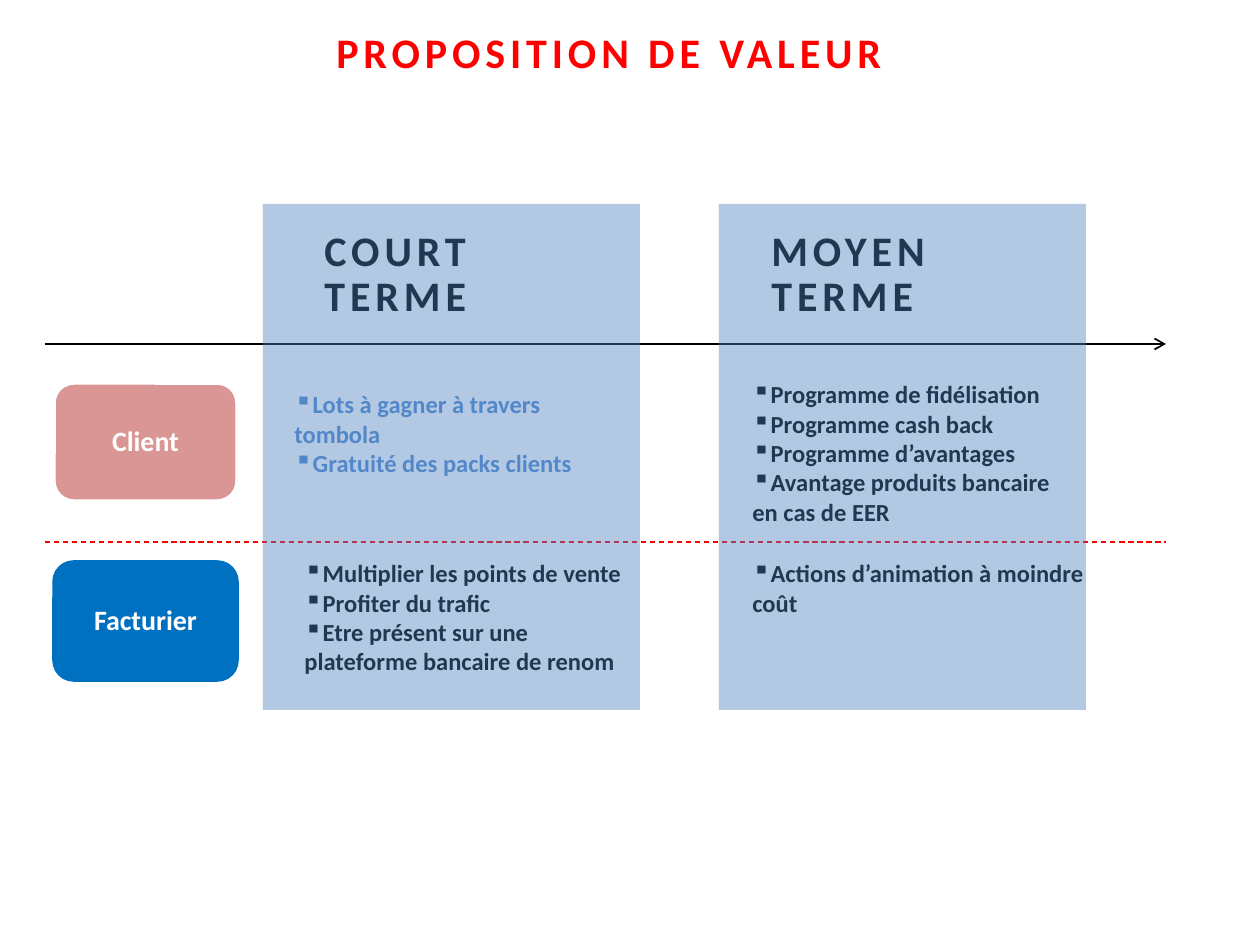
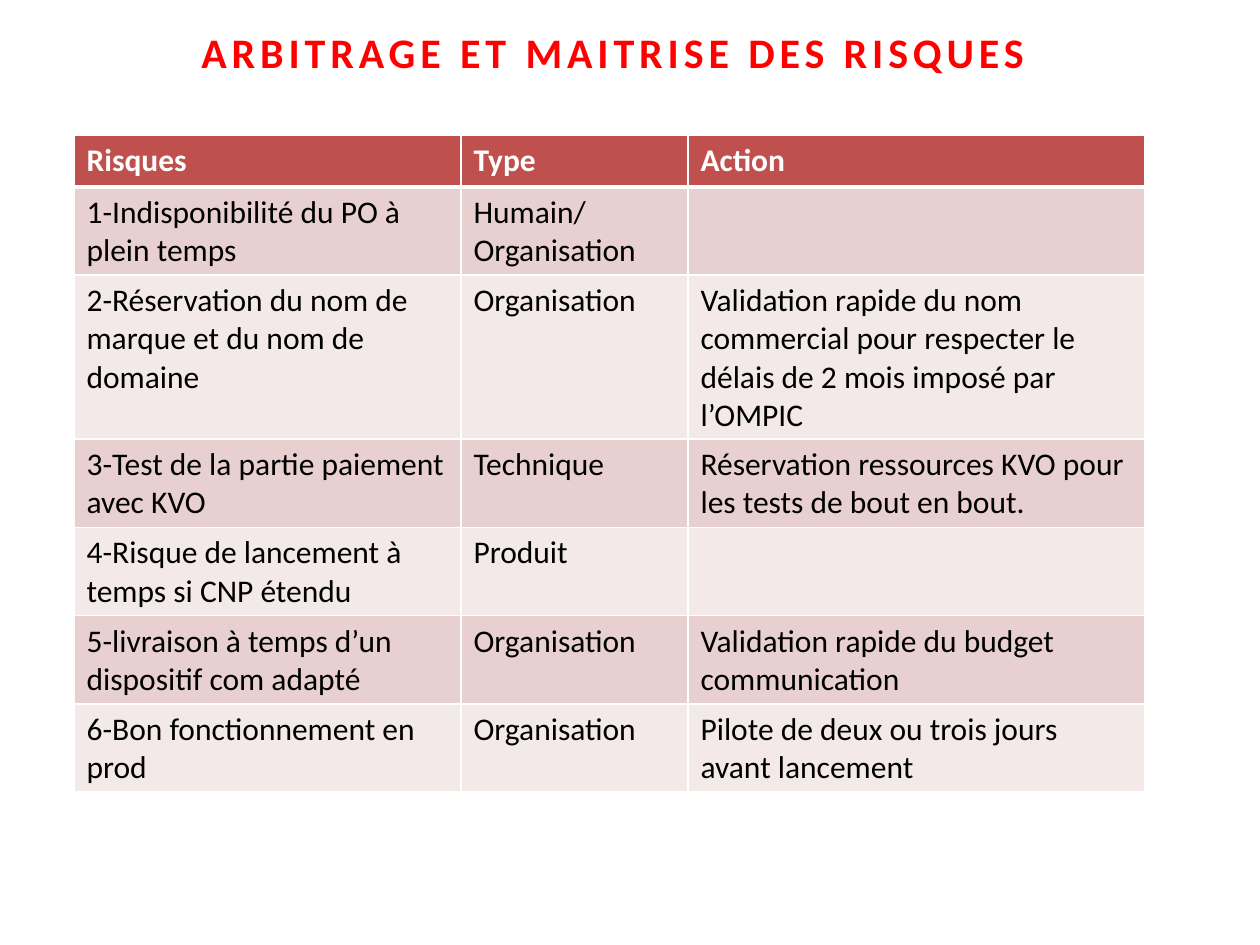
"""Build two slides: the value proposition and the risk table."""
import dataclasses
import lxml.etree
import pptx
import pptx.dml.color
import pptx.enum.dml
import pptx.enum.shapes
import pptx.enum.text
import pptx.oxml.ns
import pptx.util

SCALE = 914400 / 126
ALIGN = pptx.enum.text.PP_ALIGN
SHAPE = pptx.enum.shapes.MSO_SHAPE
qn = pptx.oxml.ns.qn


@dataclasses.dataclass(frozen=True)
class Theme:
    font: str = "Calibri"
    red: str = "FF0000"
    black: str = "000000"
    white: str = "FFFFFF"
    blue: str = "0070C0"
    sky: str = "558ED5"
    rose: str = "D99694"
    panel: str = "4F81BD"
    head: str = "C0504D"
    bands: tuple = ("E8D0D0", "F4E9E9")
    title: int = 24
    cell: int = 18
    label: int = 16
    item: int = 14


LOOK = Theme()


def px(size):
    return pptx.util.Emu(round(size * SCALE))


def rgb(code):
    return pptx.dml.color.RGBColor.from_string(code)


def node(parent, tag, **attrs):
    return lxml.etree.SubElement(parent, qn(tag), attrs)


def paint(target, code):
    target.fill.solid()
    target.fill.fore_color.rgb = rgb(code)


def write(para, text, size, color, bold=True, wide=False):
    run = para.add_run()
    run.text = text
    font = run.font
    font.name, font.bold = LOOK.font, bold
    font.size = pptx.util.Pt(size)
    font.color.rgb = rgb(color)
    if wide:
        run._r.get_or_add_rPr().set("spc", "280")


def box(slide, left, top, width, height, wrap=True):
    frame = slide.shapes.add_textbox(*map(px, (left, top, width, height))).text_frame
    frame.word_wrap = wrap
    return frame


def heading(slide, text, area, color, align=ALIGN.LEFT, wrap=True):
    para = box(slide, *area, wrap=wrap).paragraphs[0]
    para.alignment = align
    para.line_spacing = 0.9
    write(para, text, LOOK.title, color, wide=True)


def title(slide, text, left, width):
    heading(slide, text, (left, 26, width, 58), LOOK.red, ALIGN.CENTER, False)


def bullets(slide, area, items, color=LOOK.black):
    frame = box(slide, *area)
    for rank, item in enumerate(items):
        para = frame.add_paragraph() if rank else frame.paragraphs[0]
        node(para._p.get_or_add_pPr(), "a:buChar", char="▪")
        write(para, item, LOOK.item, color)


def badge(slide, text, top, fill, edge):
    shape = slide.shapes.add_shape(SHAPE.ROUNDED_RECTANGLE, *map(px, (54, top, 183, 118)))
    shape.shadow.inherit = False
    paint(shape, fill)
    shape.line.color.rgb = rgb(edge)
    shape.line.width = pptx.util.Pt(2)
    frame = shape.text_frame
    frame.word_wrap = True
    frame.vertical_anchor = pptx.enum.text.MSO_ANCHOR.MIDDLE
    para = frame.paragraphs[0]
    para.alignment = ALIGN.CENTER
    para.line_spacing = 0.9
    write(para, text, LOOK.label, LOOK.white)


def panel(slide, left, width):
    shape = slide.shapes.add_shape(SHAPE.RECTANGLE, *map(px, (left, 204, width, 506)))
    shape.shadow.inherit = False
    paint(shape, LOOK.panel)
    shape.line.fill.background()
    color = next(shape._element.spPr.iter(qn("a:srgbClr")))
    node(color, "a:alpha", val="43000")


def rule(slide, top, color, width, dash=False, arrow=False):
    kind = pptx.enum.shapes.MSO_CONNECTOR.STRAIGHT
    link = slide.shapes.add_connector(kind, px(45), px(top), px(1166), px(top))
    link.line.color.rgb = rgb(color)
    link.line.width = pptx.util.Pt(width)
    if dash:
        link.line.dash_style = pptx.enum.dml.MSO_LINE.DASH
    if arrow:
        node(link.line._get_or_add_ln(), "a:tailEnd", type="arrow")
    node(link._element.spPr, "a:effectLst")


def border(cell, low):
    props = cell._tc.get_or_add_tcPr()
    for side in "LRTB":
        width = low if side == "B" else 1
        edge = node(props, "a:ln" + side, w=str(pptx.util.Pt(width)))
        node(node(edge, "a:solidFill"), "a:srgbClr", val=LOOK.white)


def grid(slide, left, top, widths, heights, rows):
    area = map(px, (left, top, sum(widths), sum(heights)))
    table = slide.shapes.add_table(len(rows), len(widths), *area).table
    for col, width in zip(table.columns, widths):
        col.width = px(width)
    for rank, (line, height) in enumerate(zip(rows, heights)):
        table.rows[rank].height = px(height)
        head = rank == 0
        fill = LOOK.head if head else LOOK.bands[(rank - 1) % 2]
        color = LOOK.white if head else LOOK.black
        for cell, text in zip(table.rows[rank].cells, line):
            border(cell, 3 if head else 1)
            paint(cell, fill)
            if text:
                write(cell.text_frame.paragraphs[0], text, LOOK.cell, color, head)


def value(slide):
    badge(slide, "Client", 383, LOOK.rose, LOOK.white)
    badge(slide, "Facturier", 562, LOOK.blue, LOOK.blue)
    bullets(slide, (282, 383, 348, 102), [
        "Lots à gagner à travers tombola",
        "Gratuité des packs clients",
    ], LOOK.sky)
    bullets(slide, (740, 373, 348, 161), [
        "Programme de fidélisation",
        "Programme cash back",
        "Programme d’avantages",
        "Avantage produits bancaire en cas de EER",
    ])
    bullets(slide, (292, 552, 348, 131), [
        "Multiplier les points de vente",
        "Profiter du trafic",
        "Etre présent sur une plateforme bancaire de renom",
    ])
    bullets(slide, (740, 552, 377, 131), ["Actions d’animation à moindre coût"])
    rule(slide, 542, LOOK.red, 0.75, dash=True)
    rule(slide, 344, LOOK.black, 1, arrow=True)
    for text, left in (("COURT TERME", 312), ("MOYEN TERME", 759)):
        heading(slide, text, (left, 224, 198, 105), LOOK.black)
    title(slide, "PROPOSITION DE VALEUR", 320, 578)
    panel(slide, 263, 377)
    panel(slide, 719, 367)


def risks(slide):
    title(slide, "ARBITRAGE ET MAITRISE DES RISQUES", 175, 876)
    grid(slide, 74, 135, (387, 227, 457), (52, 88, 164, 88, 88, 88, 88), [
        ("Risques", "Type", "Action"),
        ("1-Indisponibilité du PO à plein temps", "Humain/Organisation", ""),
        ("2-Réservation du nom de marque et du nom de domaine", "Organisation",
         "Validation rapide du nom commercial pour respecter le délais de 2 mois "
         "imposé par l’OMPIC"),
        ("3-Test de la partie paiement avec KVO", "Technique",
         "Réservation ressources KVO pour les tests de bout en bout."),
        ("4-Risque de lancement à temps si CNP étendu", "Produit", ""),
        ("5-livraison à temps d’un dispositif com adapté", "Organisation",
         "Validation rapide du budget communication"),
        ("6-Bon fonctionnement en prod", "Organisation",
         "Pilote de deux ou trois jours avant lancement"),
    ])


def main():
    deck = pptx.Presentation()
    deck.slide_width, deck.slide_height = px(1260), px(945)
    for build in (value, risks):
        build(deck.slides.add_slide(deck.slide_layouts[6]))
    deck.save("out.pptx")


if __name__ == "__main__":
    main()
